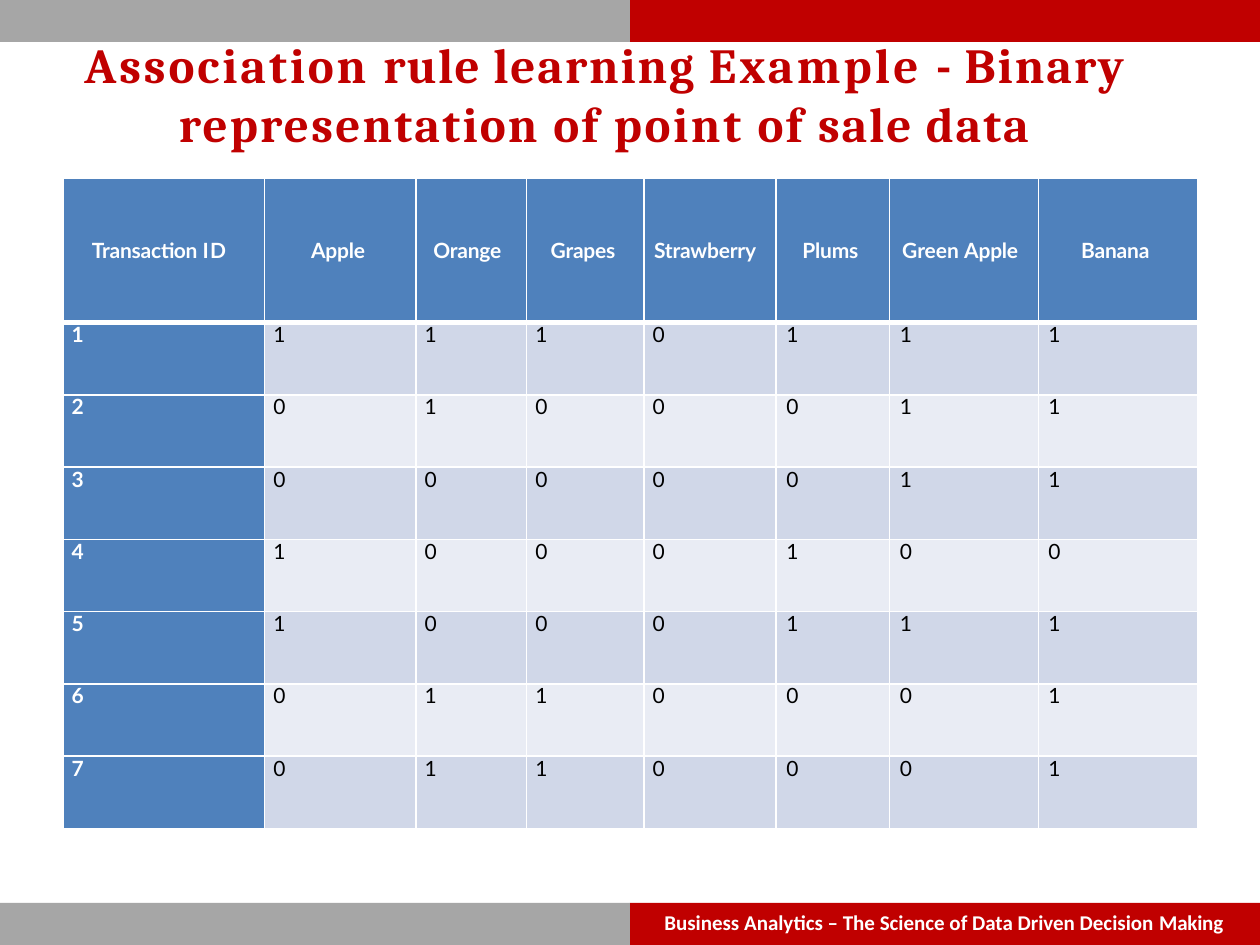
from pptx import Presentation
from pptx.dml.color import RGBColor
from pptx.enum.shapes import MSO_SHAPE
from pptx.enum.text import MSO_ANCHOR
from pptx.oxml.ns import qn
from pptx.util import Pt
from lxml.etree import SubElement

HUES = {"red": "C00000", "gray": "A6A6A6", "white": "FFFFFF", "black": "000000",
        "blue": "4F81BC", "dark": "D0D7E8", "light": "E9ECF4"}

TITLE = [("Association ", 1.7), ("rule ", 0.8), ("learning ", 1.1), ("Example ", 1.9),
         ("- ", 0.7), ("Binary ", 1.2), ("representation ", 1.3), ("of ", 1.4),
         ("point ", 1.6), ("of ", 1.4), ("sale data", 1.1)]
FOOT = [("Business Analytics – The Science of Data Driven Decision ", 0), ("Making", -0.1)]

HEADS = [
    ([("Transaction ", -0.1), ("ID", 0.8)], 115.2, 16.5),
    ([("Apple", -0.1)], 86.4, 26.6),
    ([("Orange", -0.1)], 63.4, 10),
    ([("Grapes", -0.1)], 67, 13.7),
    ([("Strawberry", -0.1)], 75.6, 5.8),
    ([("Plums", -0.1)], 64.8, 15),
    ([("Green ", 0), ("Apple", -0.1)], 85, 7.2),
    ([("Banana", -0.1)], 90.7, 24.5),
]
SALES = ["1110111", "0100011", "0000011", "1000100", "1000111", "0110001", "0110001"]


class Deck:
    def __init__(self, wide, high):
        self.show = Presentation()
        self.show.slide_width, self.show.slide_height = Pt(wide), Pt(high)
        self.slide = self.show.slides.add_slide(self.show.slide_layouts[6])

    def hue(self, name):
        return RGBColor.from_string(HUES[name])

    def bar(self, left, top, wide, high, hue):
        shape = self.slide.shapes.add_shape(
            MSO_SHAPE.RECTANGLE, Pt(left), Pt(top), Pt(wide), Pt(high))
        shape.shadow.inherit = False
        shape.fill.solid()
        shape.fill.fore_color.rgb = self.hue(hue)
        shape.line.fill.background()

    def words(self, para, parts, size, font, hue, bold=True, left=0, first=0):
        props = para._p.get_or_add_pPr()
        props.set("marL", str(Pt(left)))
        props.set("indent", str(Pt(first)))
        for word, gap in parts:
            run = para.add_run()
            run.text = word
            run.font.size = Pt(size)
            run.font.name = font
            run.font.bold = bold
            run.font.color.rgb = self.hue(hue)
            run.font._element.set("spc", str(round(gap * 100)))

    def text(self, left, top, wide, high, inset=0):
        frame = self.slide.shapes.add_textbox(
            Pt(left), Pt(top), Pt(wide), Pt(high)).text_frame
        frame.word_wrap = True
        frame.margin_left = frame.margin_right = frame.margin_bottom = 0
        frame.margin_top = Pt(inset)
        return frame.paragraphs[0]

    def cell(self, cell, fill, edges):
        cell.margin_left = cell.margin_right = cell.margin_top = cell.margin_bottom = 0
        props = cell._tc.get_or_add_tcPr()
        for side, width in edges.items():
            line = SubElement(props, qn("a:ln" + side), w=str(Pt(width)))
            paint = SubElement(line, qn("a:solidFill"))
            SubElement(paint, qn("a:srgbClr"), val=HUES["white"])
        cell.fill.solid()
        cell.fill.fore_color.rgb = self.hue(fill)
        return cell.text_frame.paragraphs[0]

    def table(self, left, top, heads, rows, tall, short):
        wide = sum(width for _, width, _ in heads)
        grid = self.slide.shapes.add_table(
            len(rows) + 1, len(heads), Pt(left), Pt(top),
            Pt(wide), Pt(tall + short * len(rows))).table
        grid.horz_banding = False
        grid.first_col = True
        for row in grid.rows:
            row.height = Pt(short)
        grid.rows[0].height = Pt(tall)
        last = len(heads) - 1
        for col, (parts, width, dent) in enumerate(heads):
            grid.columns[col].width = Pt(width)
            sides = {"L": 1 if col else 0.75, "R": 1 if col < last else 0.5}
            cell = grid.cell(0, col)
            cell.vertical_anchor = MSO_ANCHOR.MIDDLE
            para = self.cell(cell, "blue", {**sides, "T": 0.5, "B": 3})
            self.words(para, parts, 12, "Lato", "white", left=dent)
            for row, marks in enumerate(rows, 1):
                edges = {**sides, "T": 3 if row == 1 else 1,
                         "B": 0.75 if row == len(rows) else 1}
                band = "dark" if row % 2 else "light"
                para = self.cell(grid.cell(row, col), band if col else "blue", edges)
                para.line_spacing = Pt(14)
                mark = marks[col - 1] if col else str(row)
                self.words(para, [(mark, -0.5)], 12, "Lato", "black" if col else "white",
                           bold=not col, left=5 if col < 5 else 5.8)


def main():
    deck = Deck(720, 540)
    for top in (516, 0):
        deck.bar(360, top, 360, 24, "red")
        deck.bar(0, top, 360, 24, "gray")
    title = deck.text(47.5, 18.7, 625, 69, inset=0.9)
    title.space_before = Pt(0.9)
    deck.words(title, TITLE, 28, "Cambria", "red", left=54.7, first=-54)
    foot = deck.text(378.7, 522, 322.6, 14.4)
    foot.line_spacing = Pt(12.4)
    deck.words(foot, FOOT, 12, "Calibri", "white", left=0.9)
    deck.table(36, 102.2, HEADS, SALES, 82.2, 41.3)
    deck.show.save("out.pptx")


if __name__ == "__main__":
    main()
